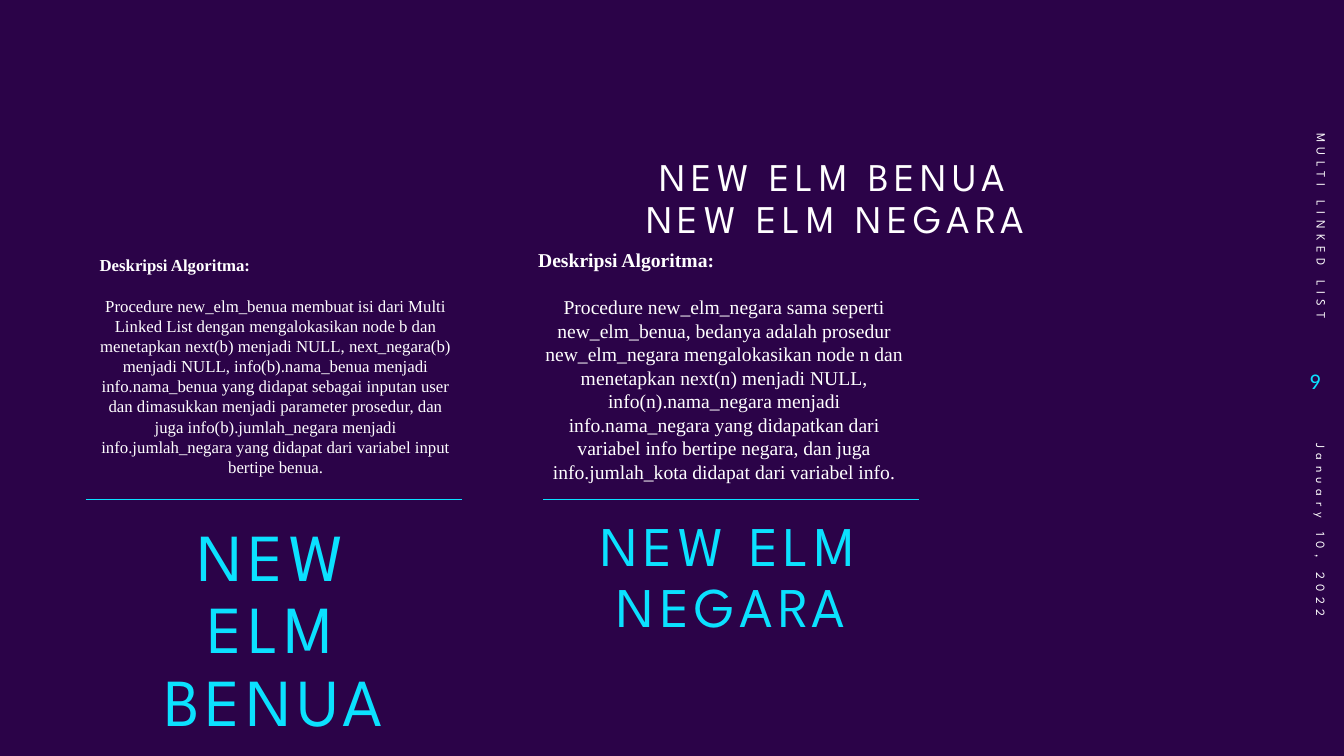
from dataclasses import dataclass

from lxml import etree
from pptx import Presentation
from pptx.dml.color import RGBColor
from pptx.enum.shapes import MSO_CONNECTOR
from pptx.enum.text import MSO_ANCHOR, PP_ALIGN
from pptx.oxml.ns import qn
from pptx.util import Pt

LEFT, CENTER, RIGHT = PP_ALIGN.LEFT, PP_ALIGN.CENTER, PP_ALIGN.RIGHT
TOP, MIDDLE, BOTTOM = MSO_ANCHOR.TOP, MSO_ANCHOR.MIDDLE, MSO_ANCHOR.BOTTOM
STRAIGHT = MSO_CONNECTOR.STRAIGHT

PURPLE, WHITE, CYAN = "2B0348", "FFFFFF", "0BE1FF"
DISPLAY, SERIF, SANS = "League Spartan", "Times New Roman", "Calibri"
RULE_Y, RULE_WIDTH = 357, 268.5


@dataclass
class Label:
    text: str
    left: float
    top: float
    width: float
    height: float
    size: float
    color: str = WHITE
    font: str = DISPLAY
    align: PP_ALIGN = CENTER
    anchor: MSO_ANCHOR = MIDDLE
    line_spacing: float = 1.0
    tracking: int = 400
    rotation: float = 0
    margin_bottom: float = 3.6


@dataclass
class Description:
    text: str
    left: float
    top: float
    width: float
    height: float
    size: float
    rule_left: float


LABELS = [
    Label("NEW ELM BENUA\vNEW ELM NEGARA", 396, 108.7, 401, 77.8, 28,
          anchor=TOP, line_spacing=0.9),
    Label("MULTI LINKED LIST", 830.2, 110.9, 218.2, 28.8, 9,
          align=RIGHT, rotation=90, margin_bottom=13),
    Label("9", 907.2, 249.1, 43.2, 45.4, 16, CYAN, SANS, RIGHT, tracking=0),
    Label("January 10, 2022", 834.5, 399.6, 208.8, 28.8, 9,
          align=LEFT, rotation=90, margin_bottom=13),
    Label("NEW ELM BENUA", 85, 504, 221, 28.8, 48, CYAN,
          anchor=BOTTOM, line_spacing=0.9),
    Label("NEW ELM NEGARA", 411.8, 431.3, 221, 28.8, 40, CYAN,
          anchor=BOTTOM, line_spacing=0.9),
]

DESCRIPTIONS = [
    Description(
        "Procedure new_elm_benua membuat isi dari Multi Linked List dengan "
        "mengalokasikan node b dan menetapkan next(b) menjadi NULL, "
        "next_negara(b) menjadi NULL, info(b).nama_benua menjadi "
        "info.nama_benua yang didapat sebagai inputan user dan dimasukkan "
        "menjadi parameter prosedur, dan juga info(b).jumlah_negara menjadi "
        "info.jumlah_negara yang didapat dari variabel input bertipe benua.",
        28.1, 178.6, 301.7, 211, 12, 61.2),
    Description(
        "Procedure new_elm_negara sama seperti new_elm_benua, bedanya adalah "
        "prosedur new_elm_negara mengalokasikan node n dan menetapkan next(n) "
        "menjadi NULL, info(n).nama_negara menjadi info.nama_negara yang "
        "didapatkan dari variabel info bertipe negara, dan juga "
        "info.jumlah_kota didapat dari variabel info.",
        341.3, 173.5, 316.1, 220.3, 14, 388.1),
]


def rgb(value: str) -> RGBColor:
    return RGBColor.from_string(value)


def add_text_frame(s, box: Label | Description):
    sp = s.shapes.add_textbox(Pt(box.left), Pt(box.top), Pt(box.width), Pt(box.height))
    sp.text_frame.word_wrap = True
    return sp, sp.text_frame


def style(p, font: str, size: float, color: str, bold: bool = False) -> None:
    p.font.name, p.font.size, p.font.bold = font, Pt(size), bold
    p.font.color.rgb = rgb(color)


def add_label(s, label: Label) -> None:
    sp, tf = add_text_frame(s, label)
    sp.rotation = label.rotation
    tf.vertical_anchor = label.anchor
    tf.margin_bottom = Pt(label.margin_bottom)
    p = tf.paragraphs[0]
    p.text = label.text
    p.alignment, p.line_spacing = label.align, label.line_spacing
    style(p, label.font, label.size, label.color)
    for r in p.runs:
        r.font._element.set("spc", str(label.tracking))


def add_description(s, description: Description) -> None:
    """Add the heading, the indented text and the rule below them."""
    _, tf = add_text_frame(s, description)
    size = description.size
    heading, body = tf.paragraphs[0], tf.add_paragraph()
    heading.text, body.text = "Deskripsi Algoritma:", description.text
    body.alignment, body.space_before = CENTER, Pt(1.2 * size)
    for p in (heading, body):
        p._p.get_or_add_pPr().set("marL", str(Pt(36)))
        style(p, SERIF, size, WHITE, bold=p is heading)

    left = description.rule_left
    rule = s.shapes.add_connector(
        STRAIGHT, Pt(left), Pt(RULE_Y), Pt(left + RULE_WIDTH), Pt(RULE_Y))
    rule.line.color.rgb = rgb(CYAN)
    rule.line.width = Pt(0.5)
    etree.SubElement(rule._element.spPr, qn("a:effectLst"))


def main() -> None:
    prs = Presentation()
    prs.slide_width, prs.slide_height = Pt(960), Pt(540)
    s = prs.slides.add_slide(prs.slide_layouts[6])
    s.background.fill.solid()
    s.background.fill.fore_color.rgb = rgb(PURPLE)
    for label in LABELS:
        add_label(s, label)
    for description in DESCRIPTIONS:
        add_description(s, description)
    prs.save("out.pptx")


if __name__ == "__main__":
    main()
